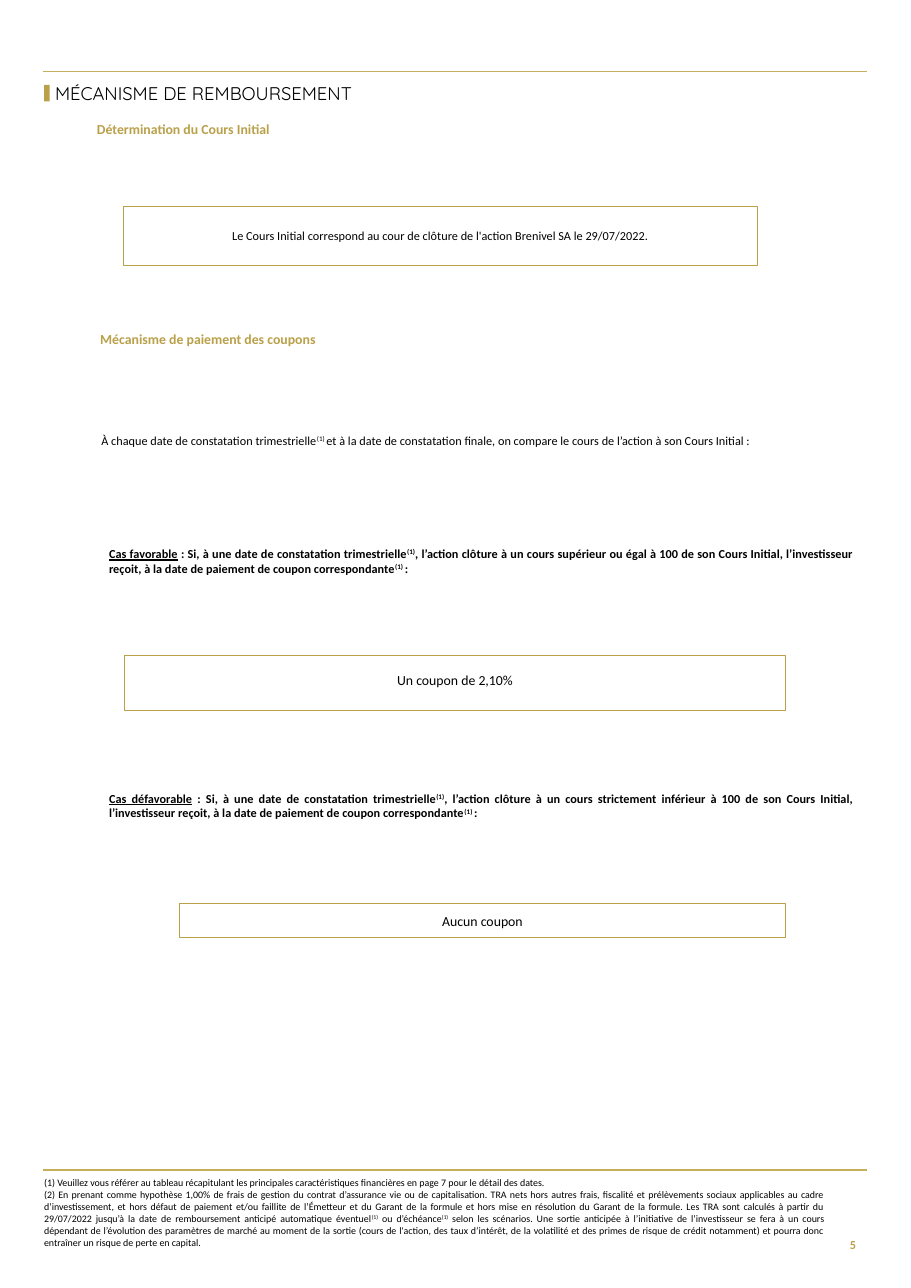
from dataclasses import dataclass

from lxml.etree import SubElement
from pptx import Presentation
from pptx.dml.color import RGBColor as Rgb
from pptx.enum.shapes import MSO_CONNECTOR as Link, MSO_SHAPE as Kind
from pptx.enum.text import MSO_ANCHOR as Anchor, MSO_AUTO_SIZE as Fit, PP_ALIGN as Align
from pptx.oxml.ns import qn
from pptx.util import Inches, Pt

GOLD, PALE, BLACK, WHITE = "B9A049", "C5AF5C", "000000", "FFFFFF"
WIDE, HIGH = 8.27, 11.69
EDGE, SPAN = 0.39, 7.48


@dataclass(frozen=True)
class Area:
    left: float
    top: float
    width: float
    height: float

    def inches(self) -> list:
        return [Inches(n) for n in (self.left, self.top, self.width, self.height)]


@dataclass(frozen=True)
class Style:
    size: float = 8
    color: str = BLACK
    bold: bool = False
    align: Align = Align.JUSTIFY
    anchor: Anchor = Anchor.TOP
    pad: tuple = (0, 0, 0, 0)
    font: str = "Calibri"


@dataclass(frozen=True)
class Block:
    area: Area
    lines: tuple
    style: Style
    lead: str = ""


@dataclass(frozen=True)
class Frame:
    area: Area
    text: str
    size: float
    line: float
    pad: tuple


HEAD = Style(9, GOLD, True, Align.LEFT)
PLAIN = Style()
CASE = Style(bold=True)
NOTE = Style(6.5)
PAGE = Style(8, GOLD, True, Align.RIGHT, Anchor.MIDDLE, (0.1, 0.05, 0.1, 0.05))
TITLE = Style(12, align=Align.LEFT, anchor=Anchor.MIDDLE, font="Quicksand")


def case(top: float, name: str, test: str) -> Block:
    text = (
        " : Si, à une date de constatation trimestrielle|(1)|, l’action clôture à un cours "
        f"{test} à 100 de son Cours Initial, l’investisseur reçoit, à la date de paiement "
        "de coupon correspondante|(1) |:"
    )
    return Block(Area(0.99, top, 6.76, 0.27), (text,), CASE, name)


BLOCKS = (
    Block(Area(0.88, 1.1, 2.97, 0.18), ("Détermination du Cours Initial",), HEAD),
    Block(Area(0.91, 3, 6.57, 0.17), ("Mécanisme de paiement des coupons",), HEAD),
    Block(
        Area(0.92, 3.93, 6.57, 0.13),
        (
            "À chaque date de constatation trimestrielle|(1) |et à la date de constatation "
            "finale, on compare le cours de l’action à son Cours Initial :",
        ),
        PLAIN,
    ),
    case(4.96, "Cas favorable", "supérieur ou égal"),
    case(7.18, "Cas défavorable", "strictement inférieur"),
    Block(
        Area(0.4, 10.68, 7.09, 0.66),
        (
            "(1) Veuillez vous référer au tableau récapitulant les principales "
            "caractéristiques financières en page 7 pour le détail des dates.",
            "(2) En prenant comme hypothèse 1,00% de frais de gestion du contrat d’assurance "
            "vie ou de capitalisation. TRA nets hors autres frais, fiscalité et prélèvements "
            "sociaux applicables au cadre d’investissement, et hors défaut de paiement et/ou "
            "faillite de l’Émetteur et du Garant de la formule et hors mise en résolution du "
            "Garant de la formule. Les TRA sont calculés à partir du 29/07/2022 jusqu’à la "
            "date de remboursement anticipé automatique éventuel|(1)| ou d’échéance|(1)| "
            "selon les scénarios. Une sortie anticipée à l’initiative de l’investisseur se "
            "fera à un cours dépendant de l’évolution des paramètres de marché au moment de "
            "la sortie (cours de l'action, des taux d’intérêt, de la volatilité et des primes "
            "de risque de crédit notamment) et pourra donc entraîner un risque de perte en "
            "capital.",
        ),
        NOTE,
    ),
    Block(Area(7.48, 11.09, 0.39, 0.42), ("5",), PAGE),
)

FRAMES = (
    Frame(
        Area(1.12, 1.87, 5.76, 0.54),
        "Le Cours Initial correspond au cour de clôture de l'action Brenivel SA le 29/07/2022.",
        8, 0.5, (0.12, 0.2, 0.12, 0.2),
    ),
    Frame(Area(1.13, 5.95, 6, 0.5), "Un coupon de 2,10%", 9, 0.75, (0.12, 0.08, 0.12, 0.14)),
    Frame(Area(1.63, 8.2, 5.5, 0.31), "Aucun coupon", 9, 0.75, (0.12, 0.08, 0.12, 0.08)),
)


def paint(target, color: str) -> None:
    target.solid()
    target.fore_color.rgb = Rgb.from_string(color)


def add_run(para, text: str, style: Style, raised: bool = False, under: bool = False) -> None:
    run = para.add_run()
    run.text = text
    font = run.font
    font.name, font.size, font.bold = style.font, Pt(style.size), style.bold
    paint(font.fill, style.color)
    if under:
        font.underline = True
    if raised:
        run._r.get_or_add_rPr().set("baseline", "30000")


def write(shape, lines: tuple, style: Style, lead: str = "") -> None:
    frame = shape.text_frame
    frame.word_wrap = True
    frame.auto_size = Fit.NONE
    frame.vertical_anchor = style.anchor
    pads = [Inches(n) for n in style.pad]
    frame.margin_left, frame.margin_top, frame.margin_right, frame.margin_bottom = pads
    for row, line in enumerate(lines):
        para = frame.add_paragraph() if row else frame.paragraphs[0]
        para.alignment = style.align
        if lead:
            add_run(para, lead, style, under=True)
        for spot, part in enumerate(line.split("|")):
            add_run(para, part, style, raised=spot % 2 == 1)


def add_rule(slide, top: float) -> None:
    ends = [Inches(n) for n in (EDGE, top, EDGE + SPAN, top)]
    rule = slide.shapes.add_connector(Link.STRAIGHT, *ends)
    paint(rule.line.fill, PALE)
    rule.line.width = Pt(0.75)
    SubElement(rule._element.spPr, qn("a:effectLst"))


def add_rect(slide, area: Area, fill: str):
    rect = slide.shapes.add_shape(Kind.RECTANGLE, *area.inches())
    rect.shadow.inherit = False
    paint(rect.fill, fill)
    rect.line.fill.background()
    return rect


def add_frame(slide, item: Frame) -> None:
    rect = add_rect(slide, item.area, WHITE)
    paint(rect.line.fill, GOLD)
    rect.line.width = Pt(item.line)
    style = Style(item.size, align=Align.CENTER, anchor=Anchor.MIDDLE, pad=item.pad)
    write(rect, (item.text,), style)


def add_title(slide) -> None:
    title = slide.shapes.title
    area = Area(0.5, 0.73, 4.21, 0.25)
    title.left, title.top, title.width, title.height = area.inches()
    write(title, ("MÉCANISME DE REMBOURSEMENT",), TITLE)
    title.text_frame.paragraphs[0].line_spacing = 0.9


def main() -> None:
    deck = Presentation()
    deck.slide_width, deck.slide_height = Inches(WIDE), Inches(HIGH)
    slide = deck.slides.add_slide(deck.slide_layouts[5])
    for top in (0.65, 10.62):
        add_rule(slide, top)
    add_title(slide)
    add_rect(slide, Area(0.4, 0.77, 0.05, 0.15), GOLD)
    for block in BLOCKS:
        write(slide.shapes.add_textbox(*block.area.inches()), block.lines, block.style, block.lead)
    for item in FRAMES:
        add_frame(slide, item)
    deck.save("out.pptx")


if __name__ == "__main__":
    main()
